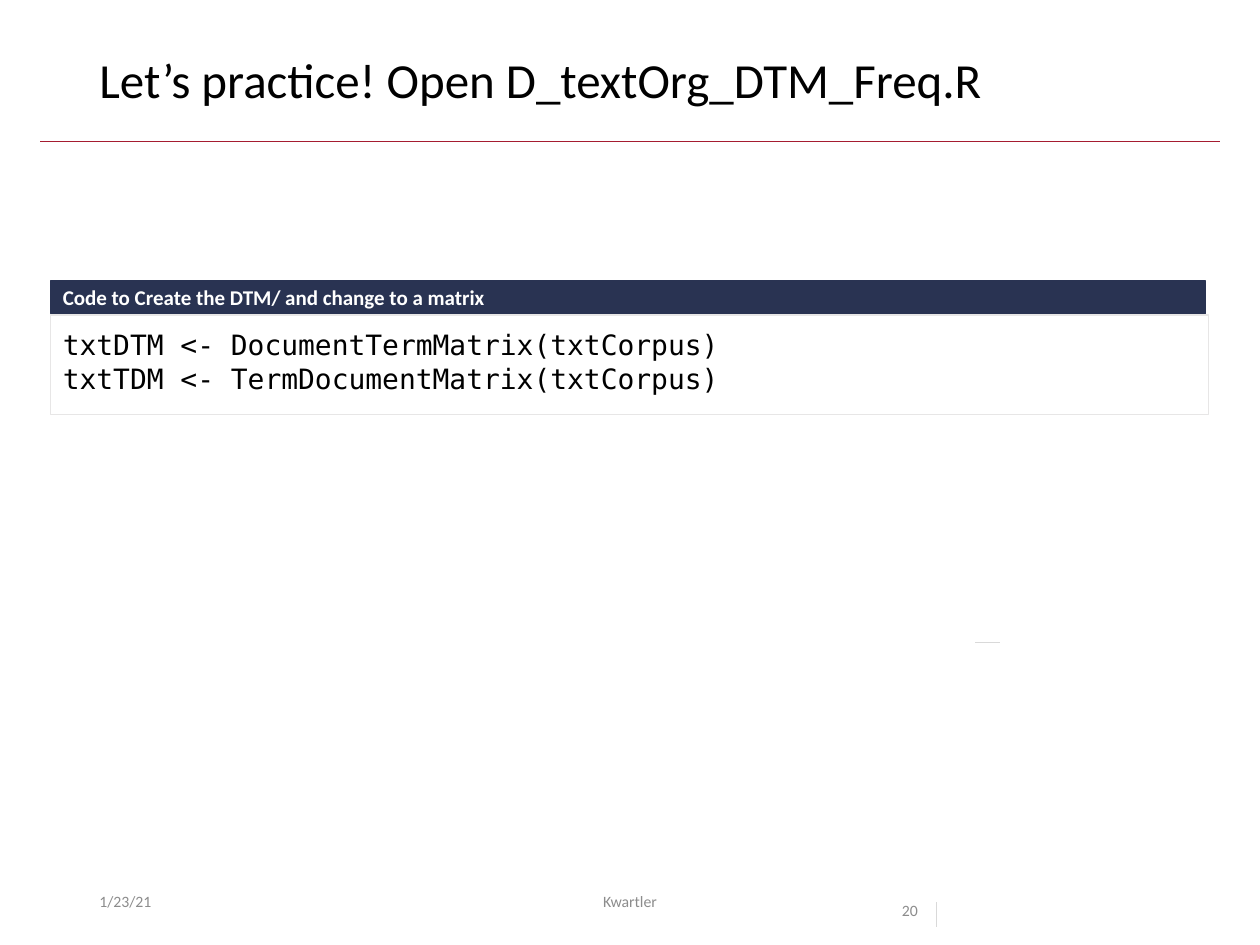
"""Build the practice slide with its document-term-matrix code panel."""
from dataclasses import dataclass

from lxml.etree import SubElement
from pptx import Presentation
from pptx.dml.color import RGBColor
from pptx.enum.shapes import MSO_CONNECTOR as Connector, MSO_SHAPE as Preset
from pptx.enum.text import MSO_ANCHOR as Anchor, PP_ALIGN as Align
from pptx.oxml.ns import qn
from pptx.util import Inches, Pt

WIDTH, HEIGHT = 10, 7.5
MARGIN = 0.69
PANEL_LEFT = 0.4
FOOTER_TOP, FOOTER_HEIGHT = 6.95, 0.4


@dataclass(frozen=True)
class Theme:
    body_font: str = "Calibri"
    code_font: str = "DejaVu Sans Mono"
    ink: str = "000000"
    paper: str = "FFFFFF"
    navy: str = "293352"
    crimson: str = "A51C30"
    muted: str = "8C8C8C"
    panel_edge: str = "E7E6E6"
    tick: str = "D9D9D9"
    title_size: int = 28
    code_size: int = 16
    header_size: int = 12
    footer_size: int = 9
    hairline: float = 0.5
    edge: float = 0.75


THEME = Theme()


def rgb(color):
    return RGBColor.from_string(color)


def write(shape, lines, size, color, font=THEME.body_font, bold=False,
          anchor=Anchor.TOP, align=Align.LEFT, spacing=None):
    frame = shape.text_frame
    frame.word_wrap = True
    frame.vertical_anchor = anchor
    for index, line in enumerate(lines):
        paragraph = frame.add_paragraph() if index else frame.paragraphs[0]
        paragraph.alignment = align
        if spacing:
            paragraph.line_spacing = spacing
        run = paragraph.add_run()
        run.text = line
        run.font.name = font
        run.font.size = Pt(size)
        run.font.bold = bold
        run.font.color.rgb = rgb(color)


def add_label(slide, box, text, size, color, **style):
    label = slide.shapes.add_textbox(*map(Inches, box))
    write(label, [text], size, color, **style)


def add_panel(slide, box, fill, edge, lines, size, color, **style):
    panel = slide.shapes.add_shape(Preset.RECTANGLE, *map(Inches, box))
    panel.shadow.inherit = False
    panel.fill.solid()
    panel.fill.fore_color.rgb = rgb(fill)
    panel.line.color.rgb = rgb(edge)
    panel.line.width = Pt(THEME.edge)
    frame = panel.text_frame
    frame.margin_left = frame.margin_right = Inches(0.1)
    frame.margin_top = frame.margin_bottom = Inches(0.1)
    write(panel, lines, size, color, **style)


def add_rule(slide, start, end, color):
    rule = slide.shapes.add_connector(
        Connector.STRAIGHT, *map(Inches, (*start, *end)))
    rule.line.color.rgb = rgb(color)
    rule.line.width = Pt(THEME.hairline)
    SubElement(rule.element.spPr, qn("a:effectLst"))


def add_heading(slide):
    inset, level = 0.32, 1.12
    add_rule(slide, (inset, level), (WIDTH - inset, level), THEME.crimson)
    add_label(slide, (MARGIN, 0.4, WIDTH - 2 * MARGIN, 0.65),
              "Let’s practice! Open D_textOrg_DTM_Freq.R",
              THEME.title_size, THEME.ink, spacing=0.9)


def add_code(slide):
    add_panel(slide, (PANEL_LEFT, 2.5, 9.19, 0.79),
              THEME.paper, THEME.panel_edge,
              ["txtDTM <- DocumentTermMatrix(txtCorpus)",
               "txtTDM <- TermDocumentMatrix(txtCorpus)"],
              THEME.code_size, THEME.ink, font=THEME.code_font)
    add_panel(slide, (PANEL_LEFT, 2.23, 9.17, 0.26), THEME.navy, THEME.navy,
              ["Code to Create the DTM/ and change to a matrix"],
              THEME.header_size, THEME.paper, bold=True, anchor=Anchor.MIDDLE)


def add_footer(slide):
    entries = (
        (MARGIN, 2.25, "1/23/21", {"anchor": Anchor.MIDDLE}),
        (3.31, 3.38, "Kwartler",
         {"anchor": Anchor.MIDDLE, "align": Align.CENTER}),
        (7.06, 0.94, "20", {"spacing": 2.0}),
    )
    for left, width, text, style in entries:
        add_label(slide, (left, FOOTER_TOP, width, FOOTER_HEIGHT), text,
                  THEME.footer_size, THEME.muted, **style)


def add_ticks(slide):
    length = 0.2
    add_rule(slide, (7.43, 7.16), (7.43, 7.16 + length), THEME.tick)
    add_rule(slide, (7.74, 5.1), (7.74 + length, 5.1), THEME.tick)


def main():
    deck = Presentation()
    deck.slide_width, deck.slide_height = Inches(WIDTH), Inches(HEIGHT)
    slide = deck.slides.add_slide(deck.slide_layouts[6])
    add_heading(slide)
    add_code(slide)
    add_ticks(slide)
    add_footer(slide)
    deck.save("out.pptx")


main()
